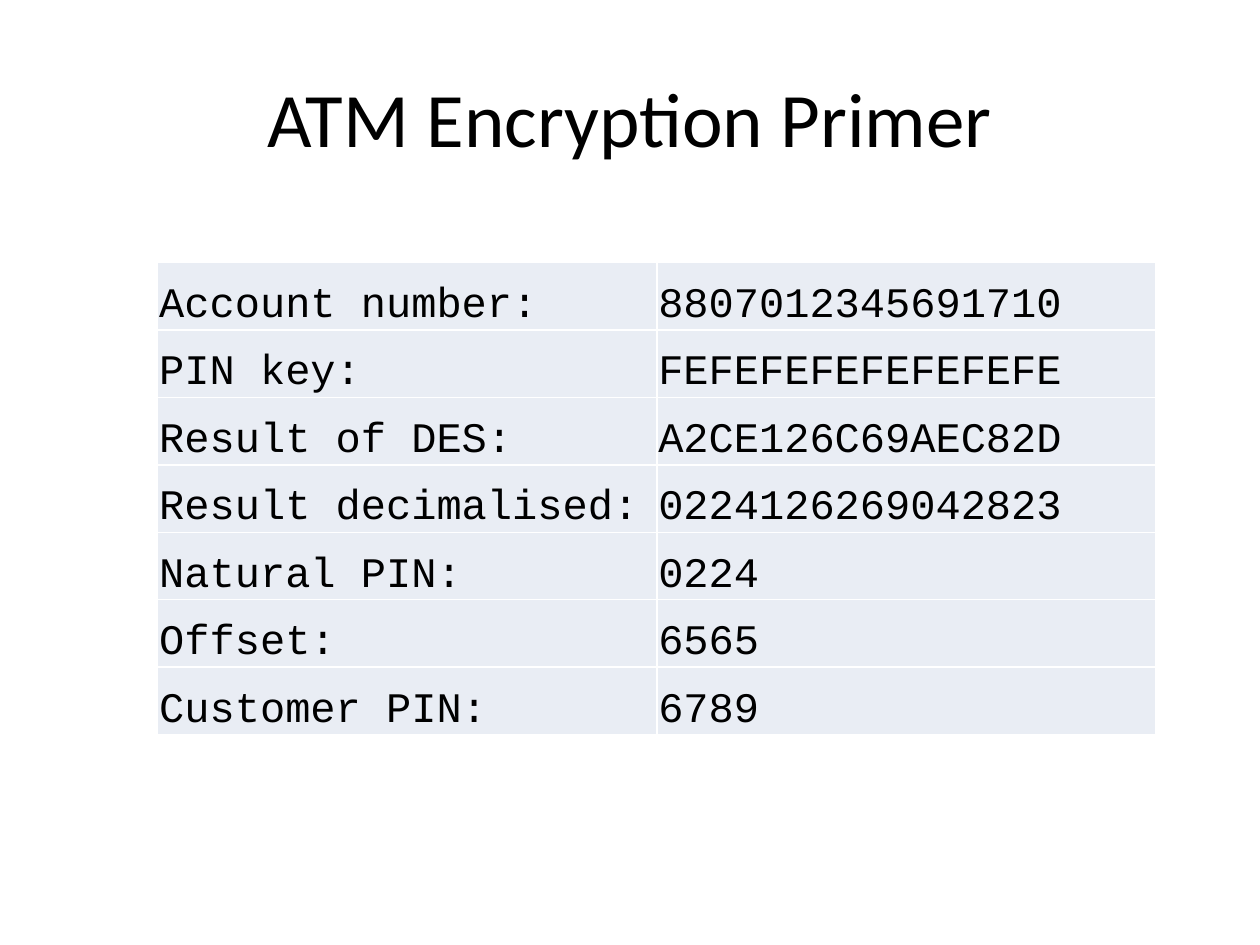
import pptx
import pptx.dml.color
import pptx.enum.text
import pptx.oxml
import pptx.oxml.ns
import pptx.util

Cm = pptx.util.Cm
Pt = pptx.util.Pt
ANCHOR = pptx.enum.text.MSO_ANCHOR
BLACK = pptx.dml.color.RGBColor(0x00, 0x00, 0x00)
WHITE = pptx.dml.color.RGBColor(0xFF, 0xFF, 0xFF)
PALE_BLUE = pptx.dml.color.RGBColor(0xE9, 0xED, 0xF4)

ROWS = [
    ("Account number:", "8807012345691710"),
    ("PIN key:", "FEFEFEFEFEFEFEFE"),
    ("Result of DES:", "A2CE126C69AEC82D"),
    ("Result decimalised:", "0224126269042823"),
    ("Natural PIN:", "0224"),
    ("Offset:", "6565"),
    ("Customer PIN:", "6789"),
]


def add_run(p, text, font, size):
    r = p.add_run()
    r.text = text
    r.font.name = font
    r.font.size = Pt(size)
    r.font.color.rgb = BLACK


def set_borders(cell, color, width):
    """Draw all four sides; must run before the cell gets its fill."""
    for side in ("lnL", "lnR", "lnT", "lnB"):
        cell._tc.get_or_add_tcPr().append(pptx.oxml.parse_xml(
            f'<a:{side} {pptx.oxml.ns.nsdecls("a")} w="{width}"><a:solidFill>'
            f'<a:srgbClr val="{color}"/></a:solidFill></a:{side}>'))


prs = pptx.Presentation()
prs.slide_width, prs.slide_height = Cm(25.4), Cm(19.05)
s = prs.slides.add_slide(prs.slide_layouts[5])
s.background.fill.solid()
s.background.fill.fore_color.rgb = WHITE

title = s.shapes.title
title.left, title.top, title.width, title.height = Cm(1.27), Cm(0.76), Cm(22.86), Cm(3.18)
tf = title.text_frame
tf.vertical_anchor = ANCHOR.MIDDLE
p = tf.paragraphs[0]
p.alignment = pptx.enum.text.PP_ALIGN.CENTER
add_run(p, "ATM Encryption Primer", "Calibri", 44)

table = s.shapes.add_table(len(ROWS), 2, Cm(3.18), Cm(5.29), Cm(20.12), Cm(9.52)).table
table.first_row = False
table.horz_banding = False
for row, texts in zip(table.rows, ROWS):
    row.height = Cm(1.36)
    for cell, text in zip(row.cells, texts):
        set_borders(cell, WHITE, Pt(1))
        cell.fill.solid()
        cell.fill.fore_color.rgb = PALE_BLUE
        cell.vertical_anchor = ANCHOR.BOTTOM
        cell.margin_left = cell.margin_right = cell.margin_top = Cm(0.03)
        cell.margin_bottom = 0
        add_run(cell.text_frame.paragraphs[0], text, "Courier New", 24)

prs.save("out.pptx")
